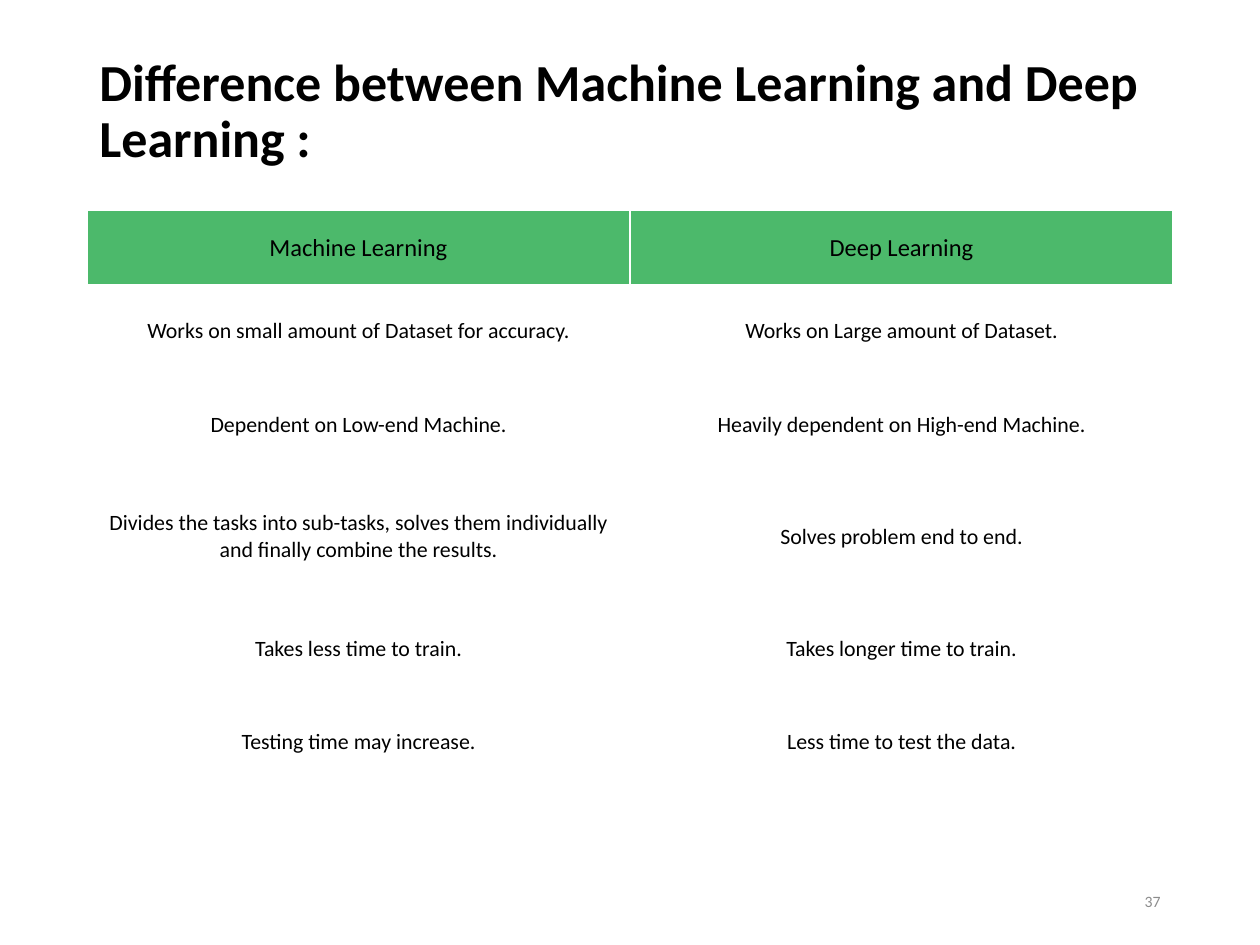
from dataclasses import dataclass

from pptx import Presentation
from pptx.dml.color import RGBColor
from pptx.enum.text import MSO_ANCHOR as Anchor, PP_ALIGN as Align
from pptx.util import Inches, Pt


@dataclass(frozen=True)
class Style:
    size: float
    color: str = "000000"
    bold: bool = False
    align: Align = Align.LEFT
    spacing: float = 1.0


@dataclass(frozen=True)
class RowStyle:
    text: Style
    fill: str
    margin_x: float
    margin_y: float


@dataclass(frozen=True)
class Row:
    machine: str
    deep: str
    height: float = 0.74


FONT = "Calibri"
LEFT, WIDTH = 0.69, 8.62
TITLE = Style(29.7, bold=True, spacing=0.9)
NUMBER = Style(9, "8C8C8C", align=Align.RIGHT)
HEADER = RowStyle(Style(14, align=Align.CENTER), "4CB96B", 0.08, 0.08)
BODY = RowStyle(Style(12.5, align=Align.CENTER), "FFFFFF", 0.1, 0.15)
ROWS = [
    Row("Machine Learning", "Deep Learning", 0.59),
    Row("Works on small amount of Dataset for accuracy.", "Works on Large amount of Dataset."),
    Row("Dependent on Low-end Machine.", "Heavily dependent on High-end Machine."),
    Row(
        "Divides the tasks into sub-tasks, solves them individually and finally combine the results.",
        "Solves problem end to end.",
        1.04,
    ),
    Row("Takes less time to train.", "Takes longer time to train."),
    Row("Testing time may increase.", "Less time to test the data."),
]


def rgb(color: str) -> RGBColor:
    return RGBColor.from_string(color)


def write(tf, text: str, style: Style) -> None:
    p = tf.paragraphs[0]
    p.text = text
    p.alignment = style.align
    p.line_spacing = style.spacing
    p.font.name = FONT
    p.font.size = Pt(style.size)
    p.font.bold = style.bold
    p.font.color.rgb = rgb(style.color)


def add_text(s, text: str, box: tuple, style: Style, anchor: Anchor) -> None:
    tf = s.shapes.add_textbox(*map(Inches, box)).text_frame
    tf.word_wrap = True
    tf.vertical_anchor = anchor
    write(tf, text, style)


def fill_cell(cell, text: str, style: RowStyle) -> None:
    cell.fill.solid()
    cell.fill.fore_color.rgb = rgb(style.fill)
    cell.margin_left = cell.margin_right = Inches(style.margin_x)
    cell.margin_top = cell.margin_bottom = Inches(style.margin_y)
    cell.vertical_anchor = Anchor.MIDDLE
    write(cell.text_frame, text, style.text)


def add_comparison(s, rows: list[Row], top: float) -> None:
    height = sum(row.height for row in rows)
    frame = s.shapes.add_table(
        len(rows), 2, Inches(LEFT), Inches(top), Inches(WIDTH), Inches(height)
    )
    table = frame.table
    table.horz_banding = False
    table.first_row = False
    for i, row in enumerate(rows):
        table.rows[i].height = Inches(row.height)
        for j, text in enumerate((row.machine, row.deep)):
            fill_cell(table.cell(i, j), text, BODY if i else HEADER)


def main() -> None:
    """Build the slide comparing machine learning with deep learning."""
    prs = Presentation()
    prs.slide_width, prs.slide_height = Inches(10), Inches(7.5)
    s = prs.slides.add_slide(prs.slide_layouts[6])
    add_text(
        s,
        "Difference between Machine Learning and Deep Learning :",
        (LEFT, 0.4, WIDTH, 1.45),
        TITLE,
        Anchor.TOP,
    )
    add_comparison(s, ROWS, 1.67)
    add_text(s, "37", (7.06, 6.95, 2.25, 0.4), NUMBER, Anchor.MIDDLE)
    prs.save("out.pptx")


if __name__ == "__main__":
    main()
